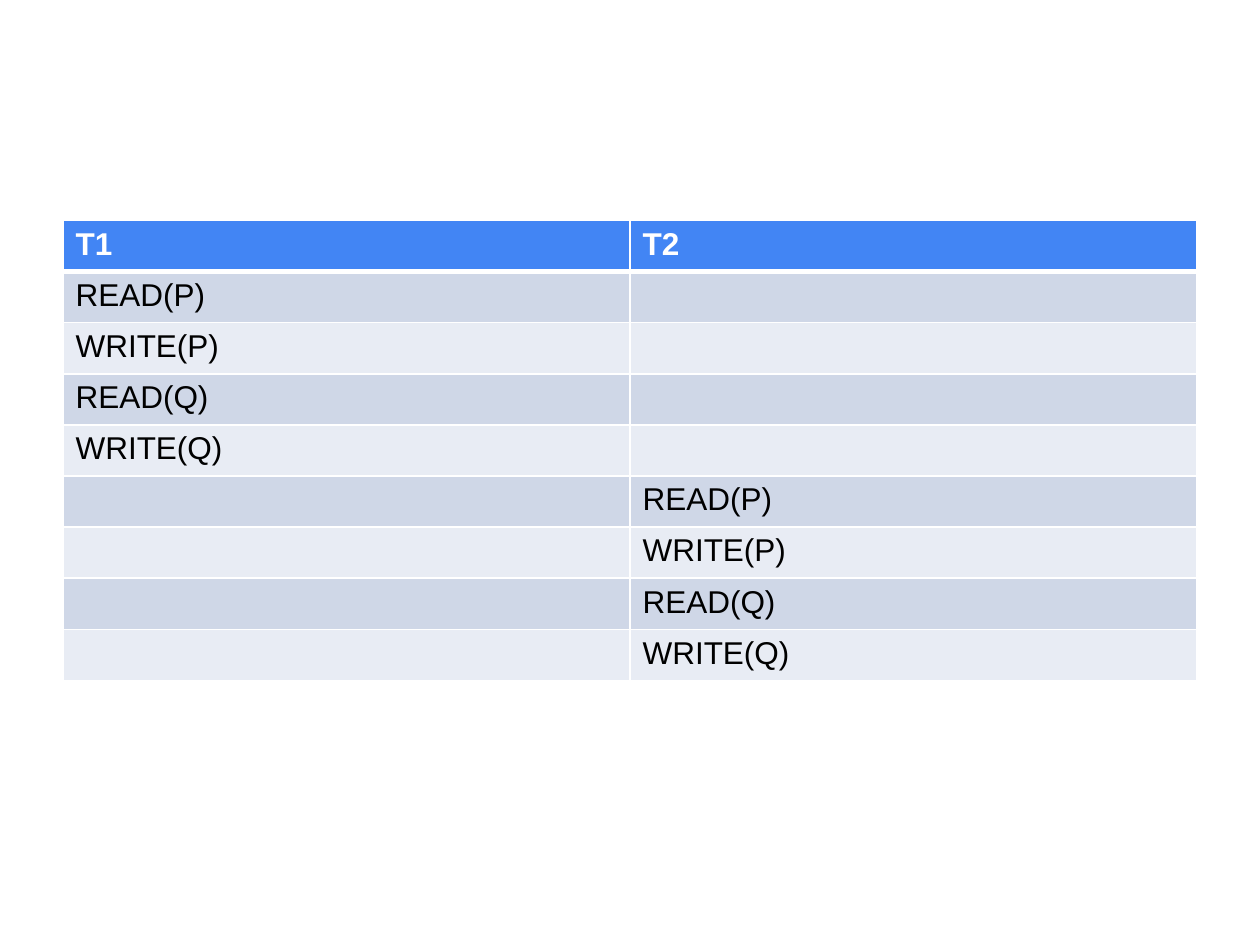
from dataclasses import dataclass

from lxml.etree import SubElement
from pptx import Presentation
from pptx.dml.color import RGBColor
from pptx.oxml.ns import qn
from pptx.util import Inches, Pt


@dataclass(frozen=True)
class Theme:
    font: str = "Arial"
    text_size: int = 18
    header_fill: str = "4285F4"
    header_text: str = "FFFFFF"
    body_text: str = "000000"
    bands: tuple = ("CFD7E7", "E8ECF4")
    rule: str = "FFFFFF"
    thin: int = 1
    thick: int = 3


THEME = Theme()
OPERATIONS = ["READ(P)", "WRITE(P)", "READ(Q)", "WRITE(Q)"]
SCHEDULE = (
    [("T1", "T2")]
    + [(operation, "") for operation in OPERATIONS]
    + [("", operation) for operation in OPERATIONS]
)


def set_borders(cell, widths):
    """Draw solid rules; widths maps the sides L, R, T, B to points."""
    properties = cell._tc.get_or_add_tcPr()
    for side, width in widths.items():
        line = SubElement(properties, qn(f"a:ln{side}"), w=str(Pt(width)))
        fill = SubElement(line, qn("a:solidFill"))
        SubElement(fill, qn("a:srgbClr"), val=THEME.rule)


def format_cell(cell, text, row):
    header = row == 0
    set_borders(cell, {
        "L": THEME.thin,
        "R": THEME.thin,
        "T": THEME.thick if row == 1 else THEME.thin,
        "B": THEME.thick if header else THEME.thin,
    })
    fill = THEME.header_fill if header else THEME.bands[(row - 1) % 2]
    cell.fill.solid()
    cell.fill.fore_color.rgb = RGBColor.from_string(fill)
    cell.text = text
    font = cell.text_frame.paragraphs[0].font
    font.name = THEME.font
    font.size = Pt(THEME.text_size)
    font.bold = header
    font.color.rgb = RGBColor.from_string(
        THEME.header_text if header else THEME.body_text)


def add_schedule(slide, left, top, width, height):
    """Place the two transactions side by side, one step per row."""
    table = slide.shapes.add_table(
        len(SCHEDULE), len(SCHEDULE[0]), left, top, width, height).table
    for row, steps in enumerate(SCHEDULE):
        for column, step in enumerate(steps):
            format_cell(table.cell(row, column), step, row)


def main():
    presentation = Presentation()
    presentation.slide_width = Inches(10)
    presentation.slide_height = Inches(7.5)
    slide = presentation.slides.add_slide(presentation.slide_layouts[6])
    add_schedule(slide, Inches(0.5), Inches(1.75), Inches(9), Inches(3.65))
    presentation.save("out.pptx")


if __name__ == "__main__":
    main()
